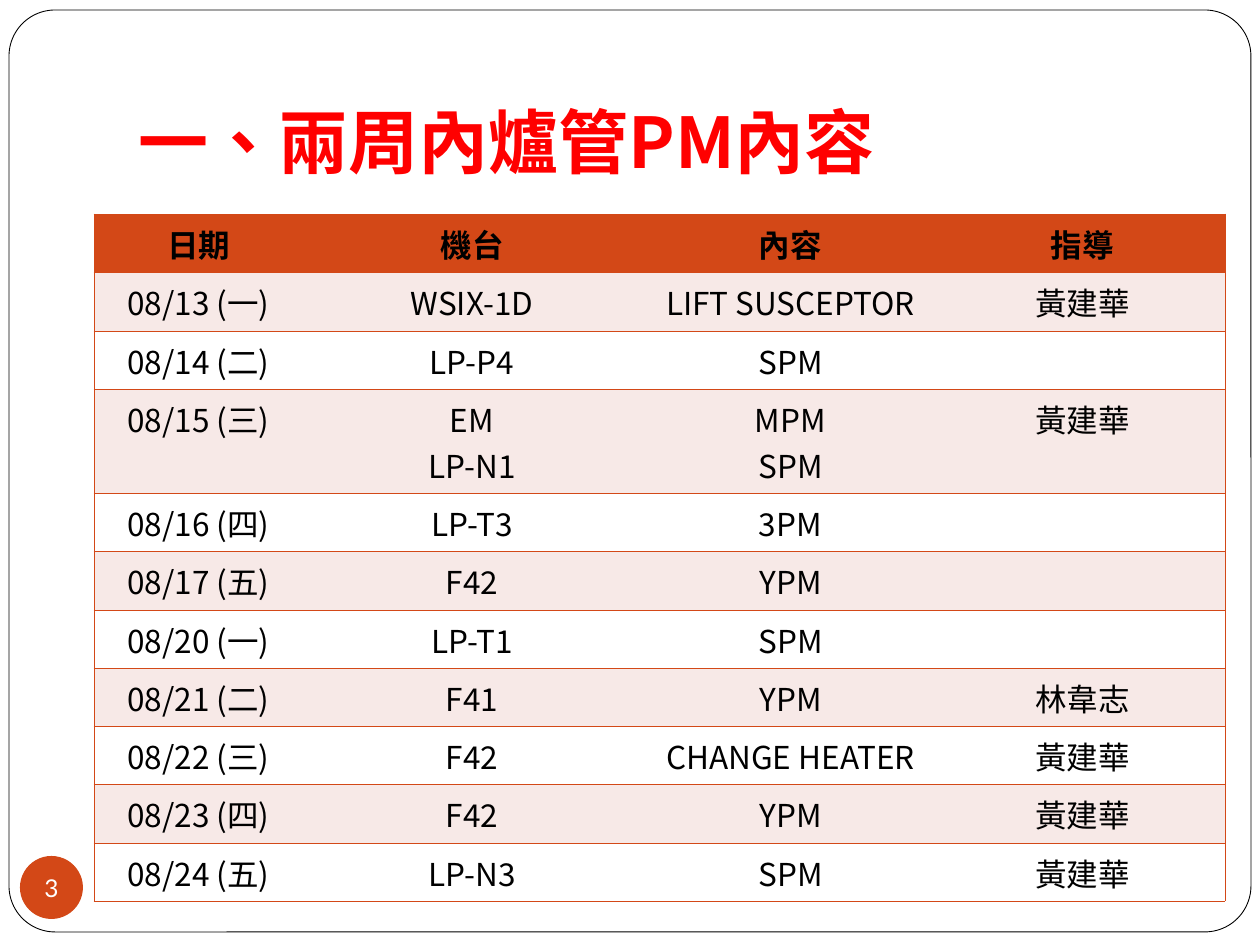
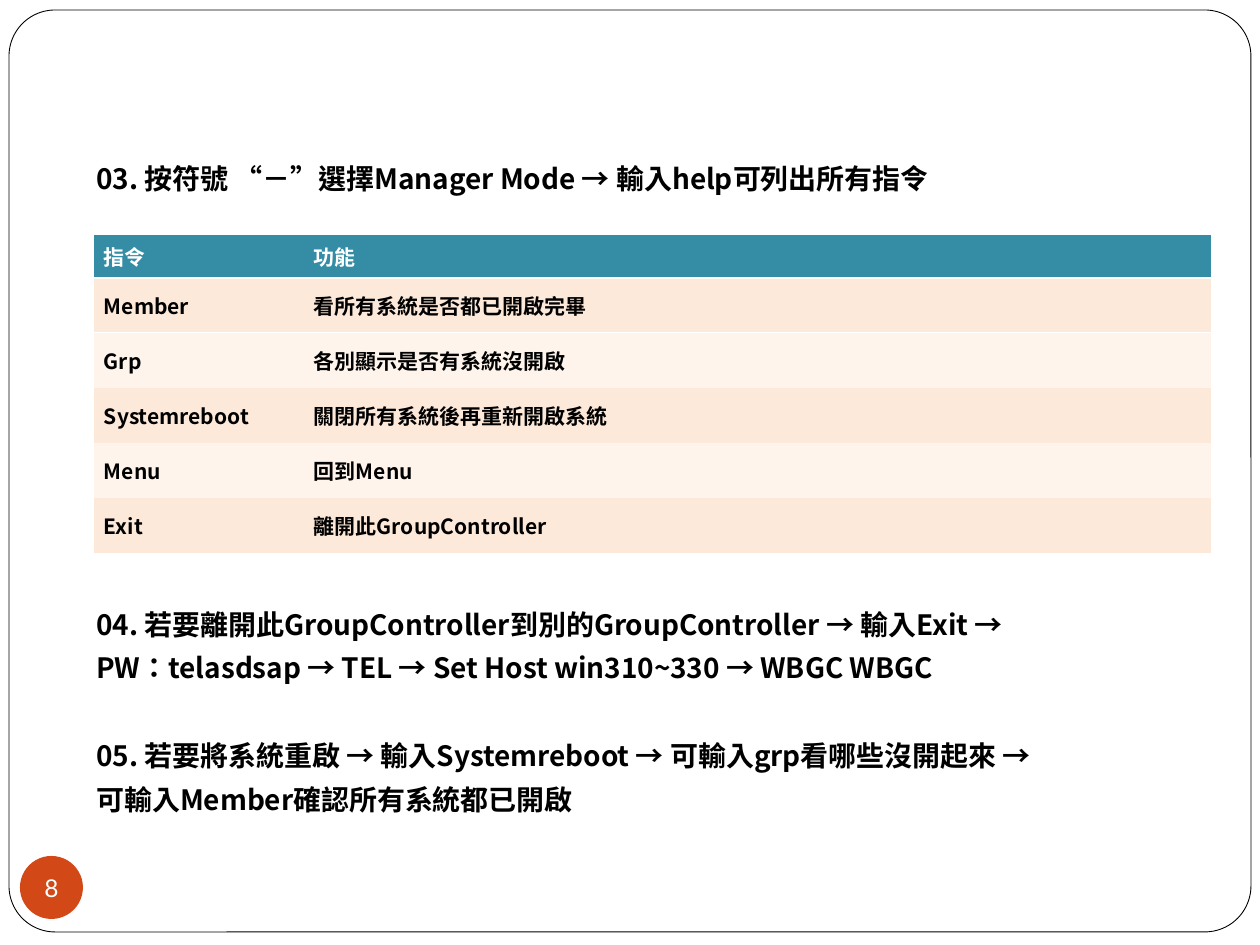
import pptx
import pptx.util
import pptx.oxml
import pptx.oxml.ns
from pptx.dml.color import RGBColor
from pptx.enum.lang import MSO_LANGUAGE_ID
from pptx.enum.shapes import MSO_SHAPE
from pptx.enum.text import MSO_ANCHOR, PP_ALIGN

# Content
PM_TITLE = "一、兩周內爐管PM內容"
PM_ROWS = [
    ("日期", "機台", "內容", "指導"),
    ("08/13 (一)", "WSIX-1D", "LIFT SUSCEPTOR", "黃建華"),
    ("08/14 (二)", "LP-P4", "SPM", ""),
    ("08/15 (三)", "EM\nLP-N1", "MPM\nSPM", "黃建華"),
    ("08/16 (四)", "LP-T3", "3PM", ""),
    ("08/17 (五)", "F42", "YPM", ""),
    ("08/20 (一)", "LP-T1", "SPM", ""),
    ("08/21 (二)", "F41", "YPM", "林韋志"),
    ("08/22 (三)", "F42", "CHANGE HEATER", "黃建華"),
    ("08/23 (四)", "F42", "YPM", "黃建華"),
    ("08/24 (五)", "LP-N3", "SPM", "黃建華"),
]
STEP_03 = ["03. 按符號 “－”選擇Manager Mode → 輸入help可列出所有指令"]
COMMAND_ROWS = [
    ("指令", "功能"),
    ("Member", "看所有系統是否都已開啟完畢"),
    ("Grp", "各別顯示是否有系統沒開啟"),
    ("Systemreboot", "關閉所有系統後再重新開啟系統"),
    ("Menu", "回到Menu"),
    ("Exit", "離開此GroupController"),
]
STEPS_04_05 = [
    "04. 若要離開此GroupController到別的GroupController → 輸入Exit →",
    "PW：telasdsap → TEL → Set Host win310~330 → WBGC WBGC",
    "05. 若要將系統重啟 → 輸入Systemreboot → 可輸入grp看哪些沒開起來 →",
    "可輸入Member確認所有系統都已開啟",
]

# Shared style
BLACK = RGBColor(0x00, 0x00, 0x00)
WHITE = RGBColor(0xFF, 0xFF, 0xFF)
RED = RGBColor(0xFF, 0x00, 0x00)
ORANGE = RGBColor(0xD3, 0x48, 0x17)
PINK = RGBColor(0xF7, 0xE9, 0xE7)
TEAL = RGBColor(0x34, 0x8D, 0xA5)
PEACH = RGBColor(0xFD, 0xE9, 0xD9)
CREAM = RGBColor(0xFE, 0xF4, 0xEC)
CJK_FONT = "Noto Sans CJK SC"
NUMBER_FONT = "Lato"
NO_TABLE_STYLE = "{2D5ABB26-0587-4C30-8999-92F81FD0307C}"
LINE_PITCH = 19.2
STEP_GAP = 5.8


def px(value):
    return pptx.util.Emu(round(value * 914400 / 126))


def style_text(text_frame, size, color, bold=False, font=CJK_FONT, align=None):
    for paragraph in text_frame.paragraphs:
        paragraph.alignment = align
        for run in paragraph.runs:
            run.font.size = pptx.util.Pt(size)
            run.font.bold = bold
            run.font.name = font
            run.font.color.rgb = color
            run.font.language_id = MSO_LANGUAGE_ID.TRADITIONAL_CHINESE
            east_asian = pptx.oxml.parse_xml(
                f'<a:ea {pptx.oxml.ns.nsdecls("a")} typeface="{font}"/>')
            run.font._element.find(pptx.oxml.ns.qn("a:latin")).addnext(east_asian)


def set_margins(target, left, top, right, bottom):
    target.margin_left, target.margin_top = px(left), px(top)
    target.margin_right, target.margin_bottom = px(right), px(bottom)


def add_preset(slide, kind, left, top, width, height, fill):
    shape = slide.shapes.add_shape(kind, px(left), px(top), px(width), px(height))
    shape.shadow.inherit = False
    shape.fill.solid()
    shape.fill.fore_color.rgb = fill
    return shape


def add_framed_slide(presentation):
    slide = presentation.slides.add_slide(presentation.slide_layouts[6])
    frame = add_preset(slide, MSO_SHAPE.ROUNDED_RECTANGLE, 9, 10, 1242, 922, WHITE)
    frame.adjustments[0] = 0.05
    frame.line.color.rgb = BLACK
    frame.line.width = pptx.util.Pt(0.5)
    return slide


def add_page_number(slide, number):
    badge = add_preset(slide, MSO_SHAPE.OVAL, 20, 856, 63, 63, ORANGE)
    badge.line.fill.background()
    text_frame = badge.text_frame
    text_frame.text = str(number)
    text_frame.word_wrap = False
    text_frame.vertical_anchor = MSO_ANCHOR.MIDDLE
    set_margins(text_frame, 0, 0, 0, 0)
    style_text(text_frame, 14, WHITE, font=NUMBER_FONT, align=PP_ALIGN.CENTER)


def add_text(slide, left, top, width, height, lines):
    box = slide.shapes.add_textbox(px(left), px(top), px(width), px(height))
    box.text_frame.word_wrap = True
    box.text_frame.text = "\n".join(lines)
    return box.text_frame


def add_steps(slide, top, height, lines):
    text_frame = add_text(slide, 84, top, 1152, height, lines)
    style_text(text_frame, 16, BLACK, bold=True)
    for index, paragraph in enumerate(text_frame.paragraphs):
        paragraph.line_spacing = pptx.util.Pt(LINE_PITCH)
        if index:
            # A new numbered step stands one empty line lower
            new_step = paragraph.text.startswith("0")
            gap = 2 * STEP_GAP + LINE_PITCH if new_step else STEP_GAP
            paragraph.space_before = pptx.util.Pt(gap)


def set_border(cell, side, color, width):
    cell._tc.get_or_add_tcPr().append(pptx.oxml.parse_xml(
        f'<a:ln{side} {pptx.oxml.ns.nsdecls("a")} w="{pptx.util.Pt(width)}">'
        f'<a:solidFill><a:srgbClr val="{color}"/></a:solidFill></a:ln{side}>'))


def add_grid(slide, left, top, widths, heights, rows, fills, style_cell):
    """Fill a table; fills holds the header, odd row and even row colours."""
    header_fill, *bands = fills
    table = slide.shapes.add_table(
        len(rows), len(widths), px(left), px(top), px(sum(widths)), px(sum(heights))).table
    table.horz_banding = False
    table._tbl.tblPr.find(pptx.oxml.ns.qn("a:tableStyleId")).text = NO_TABLE_STYLE
    for column, width in zip(table.columns, widths):
        column.width = px(width)
    for row_index, (values, height) in enumerate(zip(rows, heights)):
        table.rows[row_index].height = px(height)
        fill = bands[(row_index - 1) % 2] if row_index else header_fill
        for column_index, value in enumerate(values):
            cell = table.cell(row_index, column_index)
            cell.text_frame.text = value
            style_cell(cell, row_index, column_index)
            cell.fill.solid()
            cell.fill.fore_color.rgb = fill


def style_pm_cell(cell, row, column):
    style_text(cell.text_frame, 18, BLACK, bold=row == 0, align=PP_ALIGN.CENTER)
    set_margins(cell, 13, 7, 12, 6)
    sides = ["L"] * (column == 0) + ["R"] * (column == 3) + ["T", "B"]
    for side in sides:
        set_border(cell, side, ORANGE, 0.45)


def style_command_cell(cell, row, column):
    style_text(cell.text_frame, 12, BLACK if row else WHITE, bold=True)
    cell.vertical_anchor = MSO_ANCHOR.MIDDLE
    set_margins(cell, 10, 6, 9, 6)
    if row < 2:
        set_border(cell, "T" if row else "B", WHITE, 0.75)


def build_pm_slide(presentation):
    slide = add_framed_slide(presentation)
    title = add_text(slide, 126, 38, 1071, 157, [PM_TITLE])
    title.vertical_anchor = MSO_ANCHOR.BOTTOM
    set_margins(title, 13, 6, 13, 13)
    style_text(title, 40, RED, bold=True)
    # Every fourth row takes one px more, so the rows end on the table's foot
    heights = [104 if "\n" in row[1] else 58 + (index % 4 == 1)
               for index, row in enumerate(PM_ROWS)]
    add_grid(slide, 94, 214, [208, 339, 298, 286], heights, PM_ROWS,
             (ORANGE, PINK, WHITE), style_pm_cell)
    add_page_number(slide, 3)


def build_command_slide(presentation):
    slide = add_framed_slide(presentation)
    add_page_number(slide, 8)
    add_steps(slide, 155, 47, STEP_03)
    heights = [43] + [55] * (len(COMMAND_ROWS) - 1)
    add_grid(slide, 94, 235, [210, 907], heights, COMMAND_ROWS,
             (TEAL, PEACH, CREAM), style_command_cell)
    add_steps(slide, 601, 222, STEPS_04_05)


def main():
    presentation = pptx.Presentation()
    presentation.slide_width, presentation.slide_height = px(1260), px(945)
    build_pm_slide(presentation)
    build_command_slide(presentation)
    presentation.save("out.pptx")


if __name__ == "__main__":
    main()
